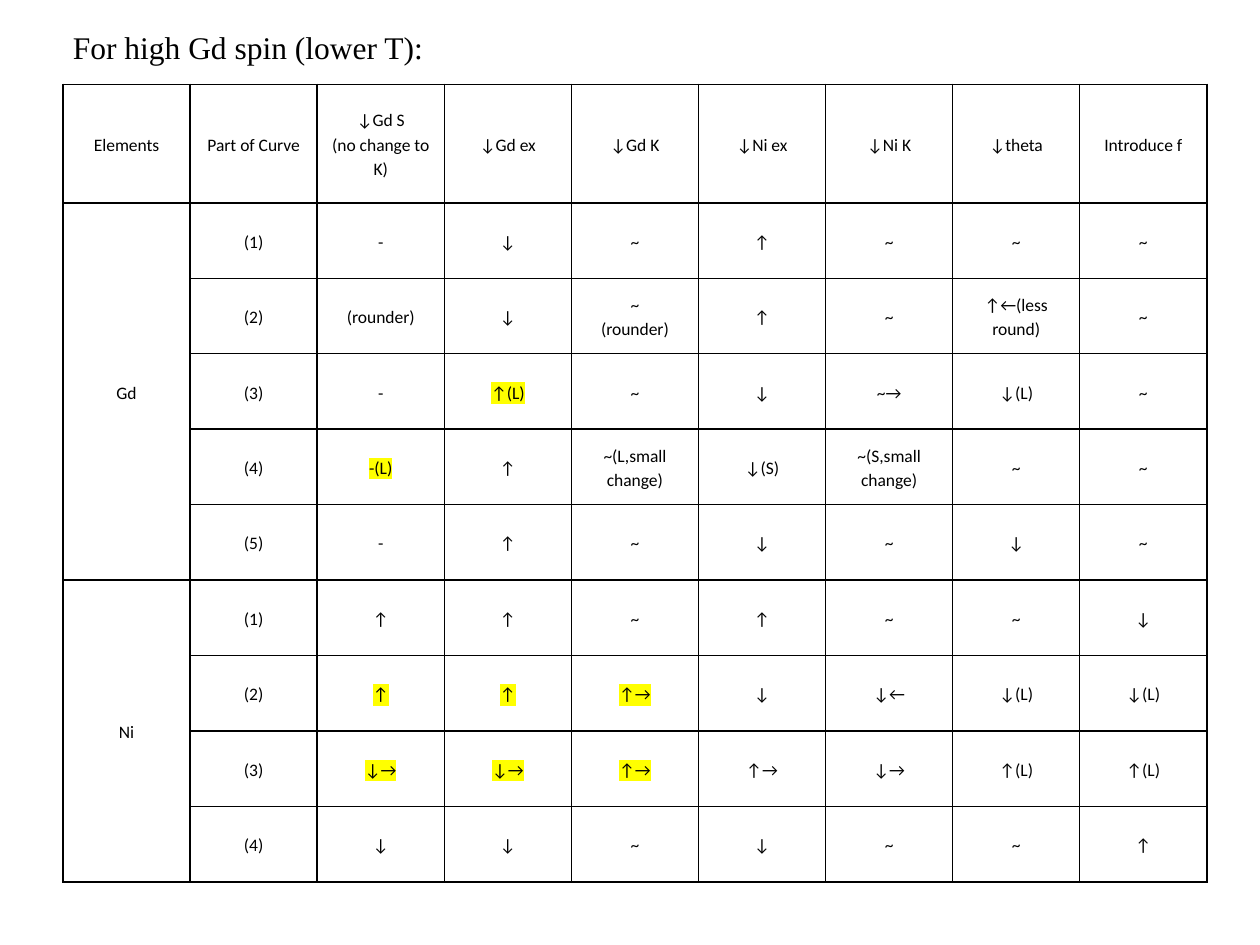
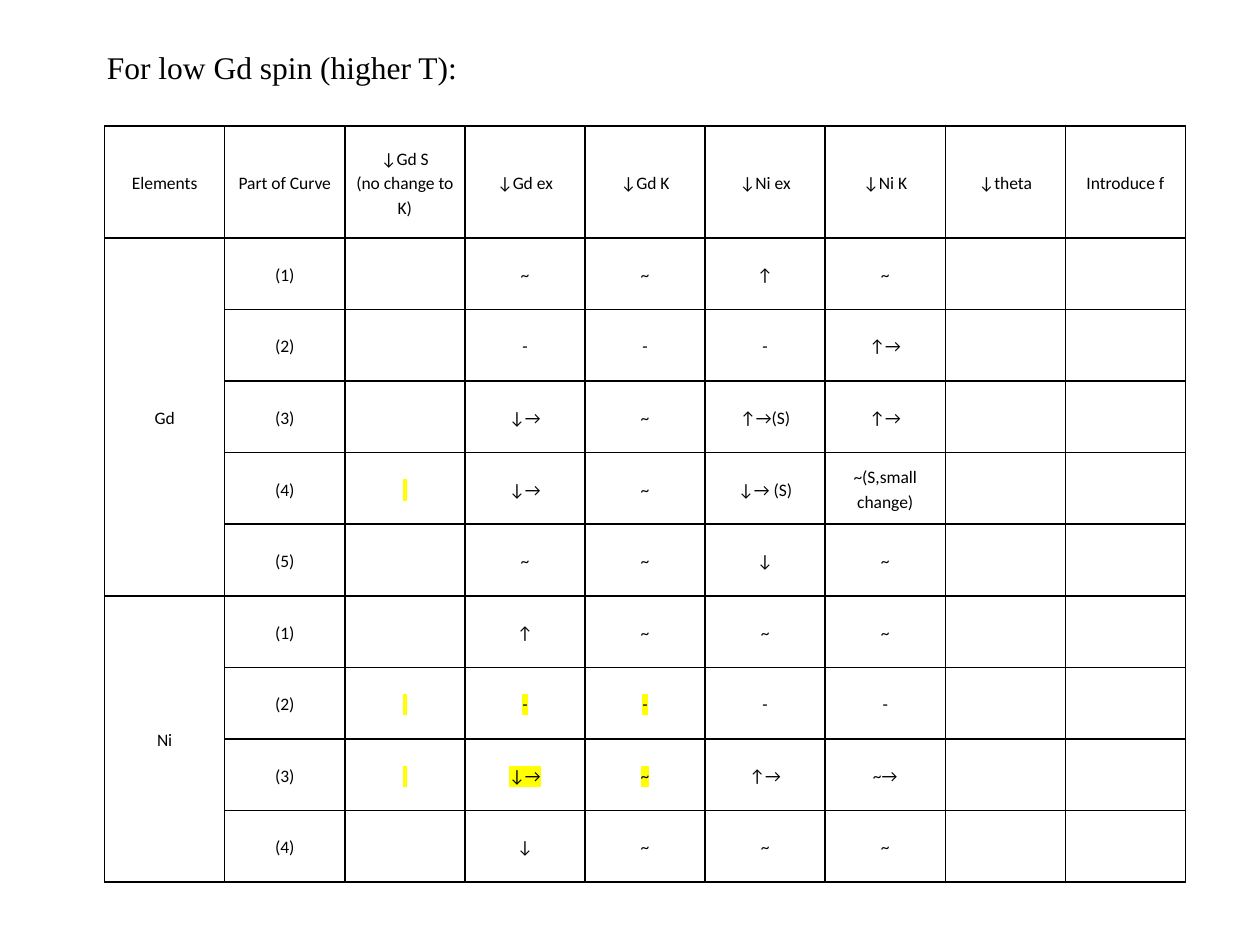
from lxml.etree import SubElement
from pptx import Presentation
from pptx.dml.color import RGBColor
from pptx.enum.text import MSO_ANCHOR as Anchor, PP_ALIGN as Align
from pptx.oxml.ns import qn
from pptx.util import Inches, Pt

BLACK = RGBColor(0x00, 0x00, 0x00)
YELLOW = RGBColor(0xFF, 0xFF, 0x00)
TITLE_FONT = {"name": "Times New Roman", "size": Pt(18)}
CELL_FONT = {"name": "Calibri", "size": Pt(10)}
CELL_FORMAT = {
    "vertical_anchor": Anchor.MIDDLE,
    "margin_left": Inches(0.07), "margin_right": Inches(0.07),
    "margin_top": 0, "margin_bottom": 0,
}
PARAGRAPH_FORMAT = {"alignment": Align.CENTER, "line_spacing": 1.15}
PLAIN_TABLE = {"first_row": False, "horz_banding": False}
BORDER_WIDTH = Pt(1)

HEADER = ["Elements", "Part of Curve", "↓Gd S\n(no change to K)", "↓Gd ex", "↓Gd K",
          "↓Ni ex", "↓Ni K", "↓theta", "Introduce f"]
# Each element with the number of its curve parts
ELEMENTS = {"Gd": 5, "Ni": 4}
# A cell that starts with this mark is highlighted
MARK = "*"

SLIDES = [
    {
        "title": "For high Gd spin (lower T):",
        "title_at": (0.48, 0.17),
        "table_at": (0.5, 0.67, 9.08, 6.33),
        "header_height": 0.94,
        "effects": [
            ["-", "↓", "~", "↑", "~", "~", "~"],
            ["(rounder)", "↓", "~\n(rounder)", "↑", "~", "↑←(less round)", "~"],
            ["-", "*↑(L)", "~", "↓", "~→", "↓(L)", "~"],
            ["*-(L)", "↑", "~(L,small change)", "↓(S)", "~(S,small change)", "~", "~"],
            ["-", "↑", "~", "↓", "~", "↓", "~"],
            ["↑", "↑", "~", "↑", "~", "~", "↓"],
            ["*↑", "*↑", "*↑→", "↓", "↓←", "↓(L)", "↓(L)"],
            ["*↓→", "*↓→", "*↑→", "↑→", "↓→", "↑(L)", "↑(L)"],
            ["↓", "↓", "~", "↓", "~", "~", "↑"],
        ],
    },
    {
        "title": "For low Gd spin (higher T):",
        "title_at": (0.75, 0.33),
        "table_at": (0.83, 1, 8.58, 6),
        "header_height": 0.89,
        "effects": [
            ["", "~", "~", "↑", "~", "", ""],
            ["", "-", "-", "-", "↑→", "", ""],
            ["", "↓→", "~", "↑→(S)", "↑→", "", ""],
            ["* ", "↓→", "~", "↓→ (S)", "~(S,small change)", "", ""],
            ["", "~", "~", "↓", "~", "", ""],
            ["", "↑", "~", "~", "~", "", ""],
            ["* ", "*-", "*-", "-", "-", "", ""],
            ["* ", "*↓→", "*~", "↑→", "~→", "", ""],
            ["", "↓", "~", "~", "~", "", ""],
        ],
    },
]


def apply_format(target, values):
    for name, value in values.items():
        setattr(target, name, value)


def style_font(run, values):
    apply_format(run.font, values)
    run.font.color.rgb = BLACK


def add_color(parent, color):
    SubElement(parent, qn("a:srgbClr"), val=str(color))


def highlight(run):
    properties = run.font._element
    mark = SubElement(properties, qn("a:highlight"))
    add_color(mark, YELLOW)
    properties.find(qn("a:solidFill")).addnext(mark)


def draw_borders(cell):
    properties = cell._tc.get_or_add_tcPr()
    for side in ("lnL", "lnR", "lnT", "lnB"):
        line = SubElement(properties, qn(f"a:{side}"), w=str(BORDER_WIDTH))
        add_color(SubElement(line, qn("a:solidFill")), BLACK)


def fill_cell(cell, text):
    draw_borders(cell)
    cell.fill.background()
    apply_format(cell, CELL_FORMAT)
    cell.text = text.removeprefix(MARK)
    for paragraph in cell.text_frame.paragraphs:
        apply_format(paragraph, PARAGRAPH_FORMAT)
        for run in paragraph.runs:
            style_font(run, CELL_FONT)
            if text.startswith(MARK):
                highlight(run)


def table_rows(effects):
    """Put the element and curve part in front of each row of effects."""
    rows = [HEADER]
    remaining = iter(effects)
    for element, parts in ELEMENTS.items():
        for part in range(1, parts + 1):
            rows.append([element if part == 1 else "", f"({part})", *next(remaining)])
    return rows


def add_title(slide, text, left, top):
    box = slide.shapes.add_textbox(Inches(left), Inches(top), Inches(3.01), Inches(0.4))
    box.text_frame.word_wrap = False
    run = box.text_frame.paragraphs[0].add_run()
    run.text = text
    style_font(run, TITLE_FONT)


def add_effects_table(slide, effects, place, header_height):
    rows = table_rows(effects)
    left, top, width, height = place
    table = slide.shapes.add_table(len(rows), len(HEADER), *map(Inches, place)).table
    apply_format(table, PLAIN_TABLE)
    for column in table.columns:
        column.width = Inches(width / len(HEADER))
    for row in table.rows:
        row.height = Inches((height - header_height) / len(effects))
    table.rows[0].height = Inches(header_height)

    for row_number, row in enumerate(rows):
        for column_number, text in enumerate(row):
            fill_cell(table.cell(row_number, column_number), text)

    first = 1
    for parts in ELEMENTS.values():
        table.cell(first, 0).merge(table.cell(first + parts - 1, 0))
        first += parts


def main():
    presentation = Presentation()
    presentation.slide_width, presentation.slide_height = Inches(10), Inches(7.5)
    blank = presentation.slide_layouts[6]
    for content in SLIDES:
        slide = presentation.slides.add_slide(blank)
        add_effects_table(slide, content["effects"], content["table_at"],
                          content["header_height"])
        add_title(slide, content["title"], *content["title_at"])
    presentation.save("out.pptx")


if __name__ == "__main__":
    main()
